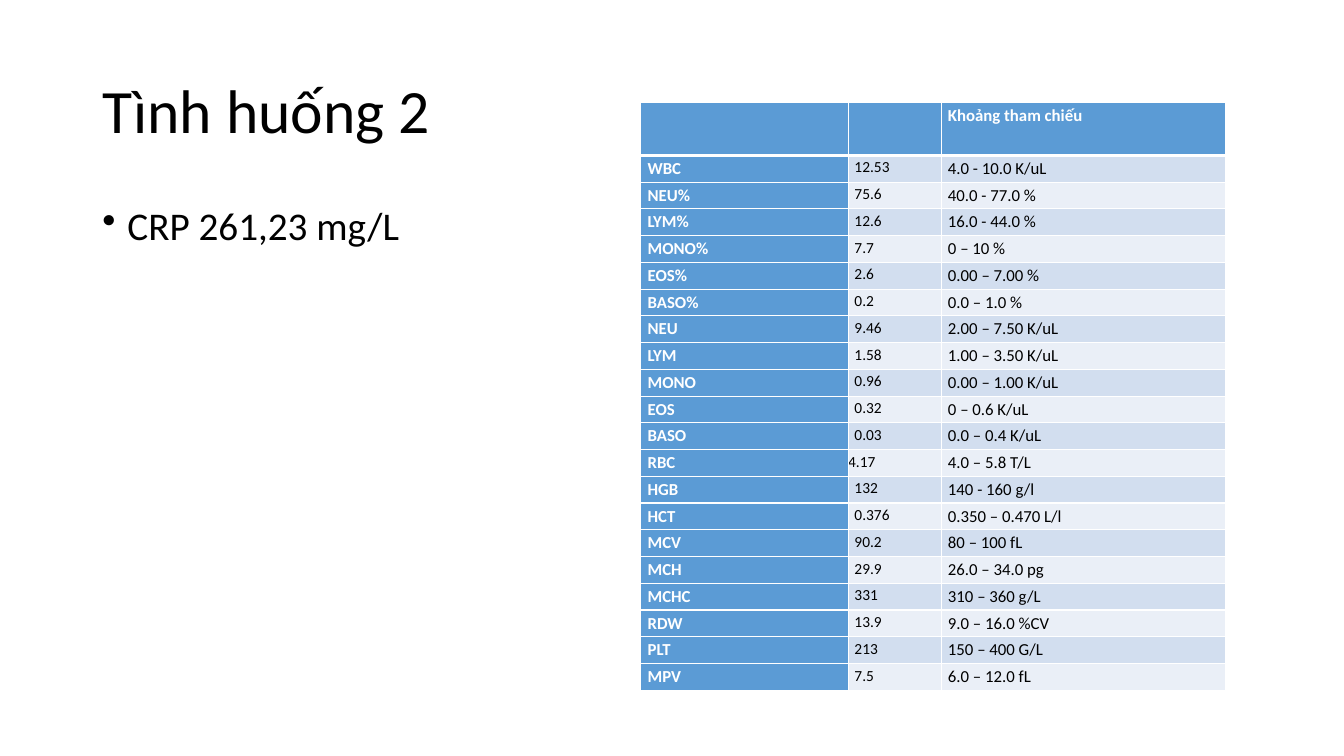
import lxml.etree
import pptx
import pptx.dml.color
import pptx.enum.text
import pptx.oxml.ns
import pptx.util

Pt = pptx.util.Pt
qn = pptx.oxml.ns.qn
PP_ALIGN = pptx.enum.text.PP_ALIGN
ANCHOR = pptx.enum.text.MSO_ANCHOR

COLORS = {
    "text": "000000",
    "white": "FFFFFF",
    "header": "5B9BD5",
    "odd": "D2DEEF",
    "even": "EAEFF7",
}
FONT = "Calibri"
REFERENCE_TITLE = "Khoảng tham chiếu"
BLOOD_COUNT = [
    ("WBC", "12.53", "4.0 - 10.0 K/uL"),
    ("NEU%", "75.6", "40.0 - 77.0 %"),
    ("LYM%", "12.6", "16.0 - 44.0 %"),
    ("MONO%", "7.7", "0 – 10 %"),
    ("EOS%", "2.6", "0.00 – 7.00 %"),
    ("BASO%", "0.2", "0.0 – 1.0 %"),
    ("NEU", "9.46", "2.00 – 7.50 K/uL"),
    ("LYM", "1.58", "1.00 – 3.50 K/uL"),
    ("MONO", "0.96", "0.00 – 1.00 K/uL"),
    ("EOS", "0.32", "0 – 0.6 K/uL"),
    ("BASO", "0.03", "0.0 – 0.4 K/uL"),
    ("RBC", "4.17", "4.0 – 5.8 T/L"),
    ("HGB", "132", "140 - 160 g/l"),
    ("HCT", "0.376", "0.350 – 0.470 L/l"),
    ("MCV", "90.2", "80 – 100 fL"),
    ("MCH", "29.9", "26.0 – 34.0 pg"),
    ("MCHC", "331", "310 – 360 g/L"),
    ("RDW", "13.9", "9.0 – 16.0 %CV"),
    ("PLT", "213", "150 – 400 G/L"),
    ("MPV", "7.5", "6.0 – 12.0 fL"),
]


def rgb(name):
    """Return the named colour."""
    return pptx.dml.color.RGBColor.from_string(COLORS[name])


def set_font(p, size, color, bold=False):
    """Set the font of a whole paragraph."""
    p.font.name = FONT
    p.font.size = Pt(size)
    p.font.bold = bold
    p.font.color.rgb = rgb(color)


def set_indent(p, left, first=0):
    """Set the left margin and first-line indent of a paragraph."""
    pPr = p._p.get_or_add_pPr()
    pPr.set("marL", str(Pt(left)))
    pPr.set("indent", str(Pt(first)))
    return pPr


def add_text(slide, box, text, size, anchor):
    """Add a wrapped text box and return its paragraph."""
    tf = slide.shapes.add_textbox(*map(Pt, box)).text_frame
    tf.word_wrap = True
    tf.vertical_anchor = anchor
    p = tf.paragraphs[0]
    p.text = text
    p.line_spacing = 0.9
    set_font(p, size, "text")
    return p


def add_title(slide, box):
    """Add the slide title."""
    add_text(slide, box, "Tình huống 2", 44, ANCHOR.MIDDLE)


def add_body(slide, box):
    """Add the bulleted finding."""
    p = add_text(slide, box, "CRP 261,23 mg/L", 28, ANCHOR.TOP)
    pPr = set_indent(p, 18, -18)
    bullet = lxml.etree.Element(qn("a:buChar"), char="•")
    pPr.find(qn("a:defRPr")).addprevious(bullet)


def set_borders(cell, top, bottom):
    """Draw white borders around a cell."""
    tcPr = cell._tc.get_or_add_tcPr()
    for side, width in (("L", 1), ("R", 1), ("T", top), ("B", bottom)):
        ln = lxml.etree.SubElement(tcPr, qn(f"a:ln{side}"), w=str(Pt(width)))
        fill = lxml.etree.SubElement(ln, qn("a:solidFill"))
        lxml.etree.SubElement(fill, qn("a:srgbClr"), val=COLORS["white"])


def fill_cell(cell, row, col, text):
    """Write and style one cell of the blood count table."""
    heading = row == 0 or col == 0
    set_borders(cell, 3 if row == 1 else 1, 3 if row == 0 else 1)
    cell.fill.solid()
    band = "odd" if row % 2 else "even"
    cell.fill.fore_color.rgb = rgb("header" if heading else band)
    if not text:
        return
    cell.margin_left = cell.margin_right = 0
    cell.margin_top = cell.margin_bottom = 0
    p = cell.text_frame.paragraphs[0]
    p.text = text
    p.alignment = PP_ALIGN.JUSTIFY
    p.line_spacing = 1.15
    set_indent(p, 0 if text == "4.17" else (5, 4.5, 4.5)[col])
    set_font(p, 11 if col == 1 else 12, "white" if heading else "text", heading)


def add_blood_count(slide, box):
    """Add the table of results and reference ranges."""
    rows = [("", "", REFERENCE_TITLE)] + BLOOD_COUNT
    table = slide.shapes.add_table(len(rows), 3, *map(Pt, box)).table
    for column, share in zip(table.columns, (0.355, 0.16, 0.485)):
        column.width = Pt(box[2] * share)
    header_height = 38
    for r, values in enumerate(rows):
        body_height = (box[3] - header_height) / len(BLOOD_COUNT)
        table.rows[r].height = Pt(body_height if r else header_height)
        for c, text in enumerate(values):
            fill_cell(table.cell(r, c), r, c, text)


def main():
    """Build and save the slide."""
    prs = pptx.Presentation()
    prs.slide_width, prs.slide_height = Pt(960), Pt(540)
    slide = prs.slides.add_slide(prs.slide_layouts[6])
    add_title(slide, (66, 28.75, 828, 104.4))
    add_body(slide, (66, 143.75, 828, 342.6))
    add_blood_count(slide, (457.6, 73, 417.6, 420.4))
    prs.save("out.pptx")


if __name__ == "__main__":
    main()
